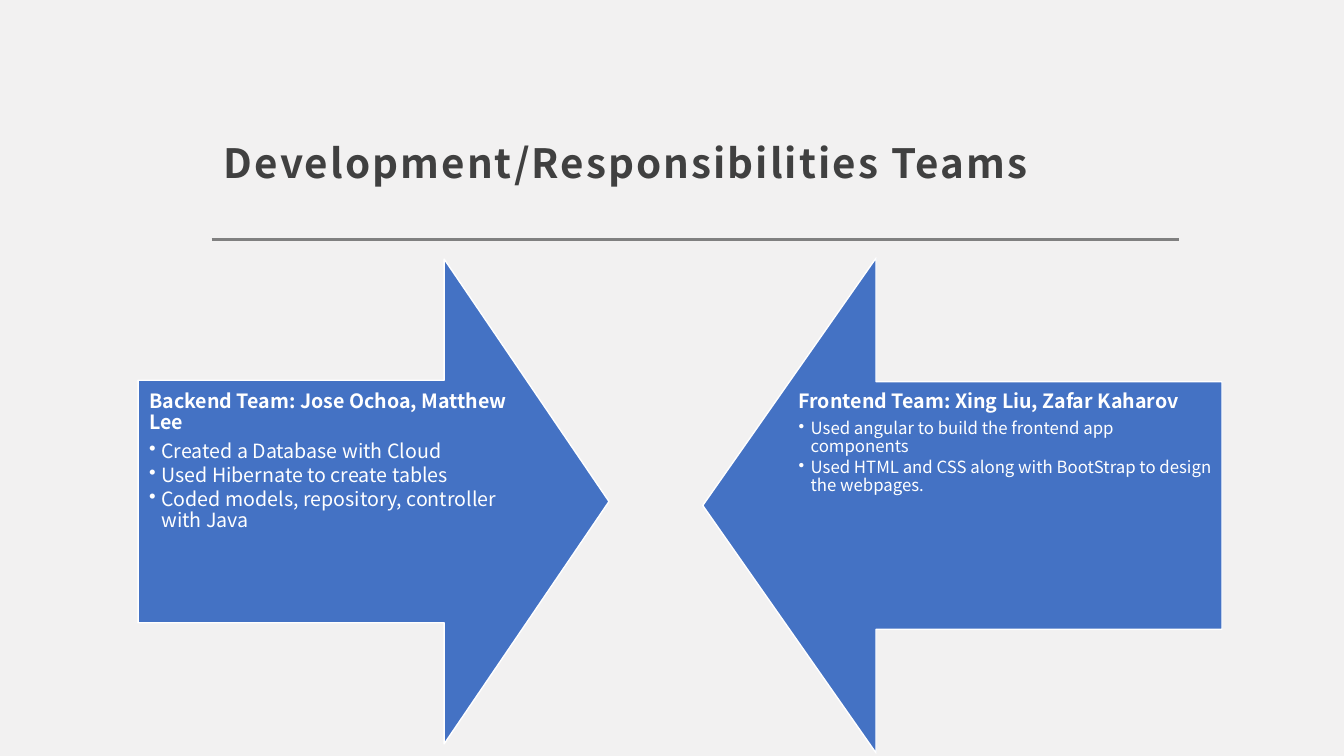
"""Build the development teams slide with two facing arrows."""
from lxml.etree import SubElement
from pptx import Presentation
from pptx.dml.color import RGBColor
from pptx.enum.shapes import MSO_CONNECTOR, MSO_SHAPE
from pptx.enum.text import MSO_ANCHOR
from pptx.oxml.ns import qn
from pptx.util import Inches, Pt

FONT = "Noto Sans CJK JP"
COLORS = {"bg": "F2F1F1", "rule": "808080", "title": "404040",
          "arrow": "4472C4", "white": "FFFFFF"}
TEAMS = [
    {"arrow": (1.3, 2.64, 4.81, 4.67), "rotation": 270,
     "text": (1.37, 3.77, 3.85, 2.41), "inset": 0.11, "size": 14,
     "heading": "Backend Team: Jose Ochoa, Matthew Lee",
     "tasks": ["Created a Database with Cloud",
               "Used Hibernate to create tables",
               "Coded models, repository, controller with Java"]},
    {"arrow": (7.09, 2.44, 4.91, 5.15), "rotation": 90,
     "text": (7.83, 3.79, 4.29, 2.45), "inset": 0.09, "size": 12,
     "heading": "Frontend Team: Xing Liu, Zafar Kaharov",
     "tasks": ["Used angular to build the frontend app components",
               "Used HTML and CSS along with BootStrap to design the webpages."]},
]


def add_box(s, box, insets, anchor):
    """Add a wrapping text box and return its text frame."""
    tf = s.shapes.add_textbox(*map(Inches, box)).text_frame
    tf.word_wrap = True
    tf.vertical_anchor = anchor
    tf.margin_left, tf.margin_top, tf.margin_right, tf.margin_bottom = map(Inches, insets)
    return tf


def add_text(p, text, size, color, bold, spacing):
    """Add one formatted run to a paragraph and return it."""
    p.line_spacing = spacing
    r = p.add_run()
    r.text = text
    r.font.name = FONT
    r.font.size = Pt(size)
    r.font.bold = bold
    r.font.color.rgb = RGBColor.from_string(COLORS[color])
    return r


prs = Presentation()
prs.slide_width = Inches(13.33)
prs.slide_height = Inches(7.5)
s = prs.slides.add_slide(prs.slide_layouts[6])
s.background.fill.solid()
s.background.fill.fore_color.rgb = RGBColor.from_string(COLORS["bg"])

rule = s.shapes.add_connector(MSO_CONNECTOR.STRAIGHT, Inches(2.1), Inches(2.38),
                              Inches(11.69), Inches(2.38))
rule.line.color.rgb = RGBColor.from_string(COLORS["rule"])
rule.line.width = Pt(2)
SubElement(rule._element.spPr, qn("a:effectLst"))

tf = add_box(s, (2.1, 0.48, 9.59, 1.47), (0.12, 0.12, 0.12, 0.1), MSO_ANCHOR.BOTTOM)
r = add_text(tf.paragraphs[0], "Development/Responsibilities Teams", 28.8, "title", True, 1.3)
r.font._element.set("spc", "150")

for team in TEAMS:
    sp = s.shapes.add_shape(MSO_SHAPE.DOWN_ARROW, *map(Inches, team["arrow"]))
    sp.rotation = team["rotation"]
    sp.adjustments[0] = 0.5
    sp.adjustments[1] = 0.35
    sp.shadow.inherit = False
    sp.fill.solid()
    sp.fill.fore_color.rgb = RGBColor.from_string(COLORS["arrow"])
    sp.line.color.rgb = RGBColor.from_string(COLORS["white"])
    sp.line.width = Pt(1)

    tf = add_box(s, team["text"], [team["inset"]] * 4, MSO_ANCHOR.TOP)
    p = tf.paragraphs[0]
    p.space_after = Pt(5.5)
    add_text(p, team["heading"], 14, "white", True, 0.9)
    for task in team["tasks"]:
        p = tf.add_paragraph()
        p.level = 1
        p.space_after = Pt(2)
        add_text(p, task, team["size"], "white", False, 0.9)
        pPr = p._p.get_or_add_pPr()
        pPr.set("marL", str(Inches(0.12)))
        pPr.set("indent", str(-Inches(0.12)))
        SubElement(pPr, qn("a:buChar"), char="•")

prs.save("out.pptx")
